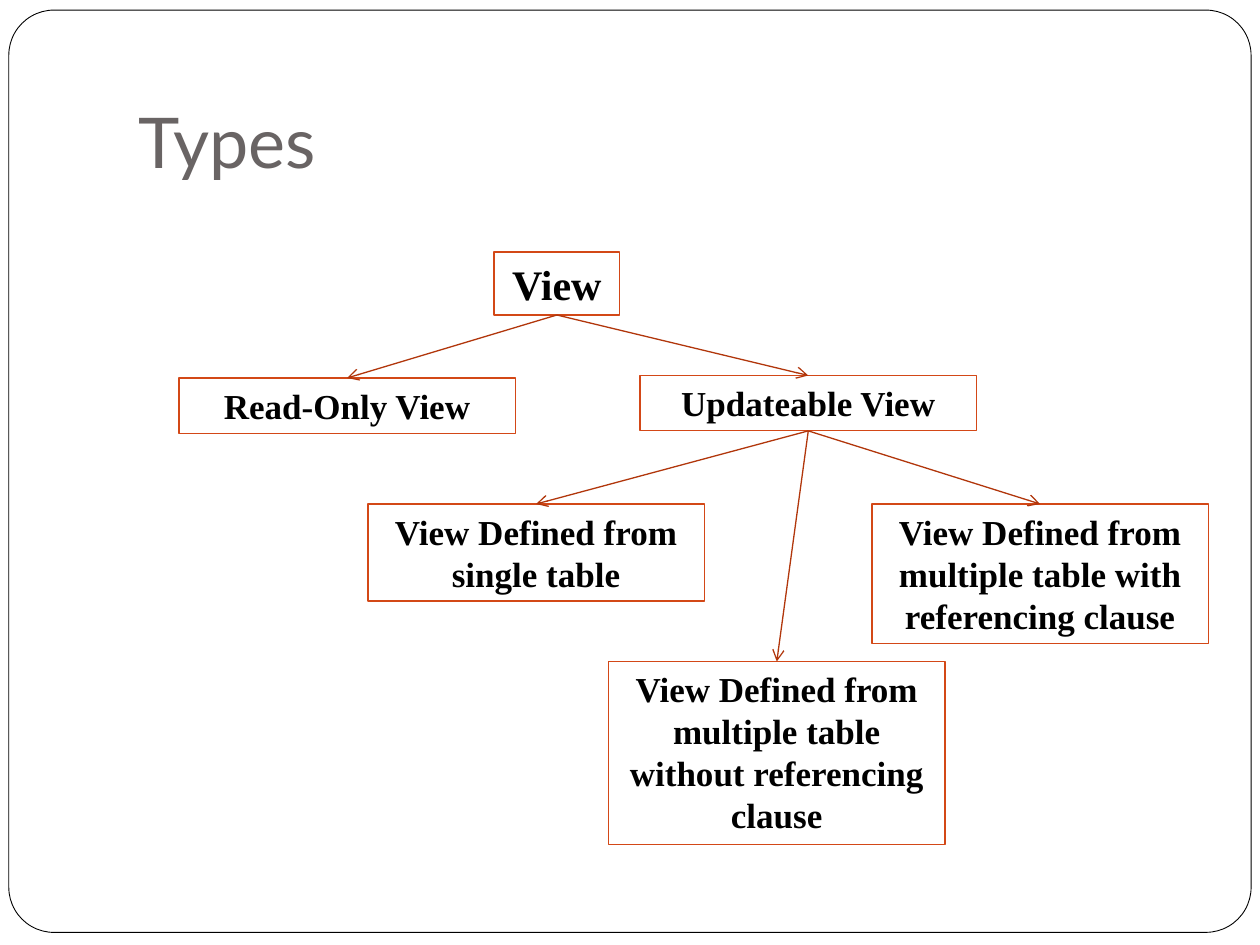
from lxml import etree
from pptx import Presentation
from pptx.dml.color import RGBColor
from pptx.enum import shapes, text
from pptx.oxml.ns import qn
from pptx.util import Inches, Pt

TITLE = "Types"
WIDE = 2.67
NODES = {
    "view": ("View", 3.92, 2, 1, 0.5, "root"),
    "read": ("Read-Only View", 1.42, 3, WIDE, 0.44, "node"),
    "update": ("Updateable View", 5.08, 2.98, WIDE, 0.44, "node"),
    "single": ("View Defined from single table", 2.92, 4, WIDE, 0.77, "node"),
    "without": ("View Defined from multiple table without referencing clause",
                4.83, 5.25, WIDE, 1.45, "node"),
    "with": ("View Defined from multiple table with referencing clause",
             6.92, 4, WIDE, 1.11, "node"),
}
TREE = {"view": ("read", "update"), "update": ("single", "without", "with")}
THEME = {
    "paper": "FFFFFF", "frame": "000000", "box": "D34817", "arrow": "B1360B",
    "thin": 0.5, "line": 0.75,
    "title": {"name": "Lato", "size": Pt(40), "bold": False, "color": "696464"},
    "root": {"name": "Times New Roman", "size": Pt(24), "bold": True, "color": "000000"},
    "node": {"name": "Times New Roman", "size": Pt(20), "bold": True, "color": "000000"},
}


def style(font, look):
    for key, value in look.items():
        if key == "color":
            font.color.rgb = RGBColor.from_string(value)
        else:
            setattr(font, key, value)


def stroke(line, color, width):
    line.color.rgb = RGBColor.from_string(color)
    line.width = Pt(width)


def write(shape, words, look, align, form):
    frame = shape.text_frame
    for key, value in form.items():
        setattr(frame, key, value)
    para = frame.paragraphs[0]
    para.alignment = align
    run = para.add_run()
    run.text = words
    style(run.font, THEME[look])


def block(kind, *place):
    shape = slide.shapes.add_shape(kind, *map(Inches, place))
    shape.shadow.inherit = False
    return shape


def link(start, end):
    line = slide.shapes.add_connector(shapes.MSO_CONNECTOR.STRAIGHT, 0, 0, 0, 0)
    line.begin_connect(start, 2)
    line.end_connect(end, 0)
    stroke(line.line, THEME["arrow"], THEME["line"])
    etree.SubElement(line.line._get_or_add_ln(), qn("a:tailEnd"), type="arrow")
    etree.SubElement(line._element.spPr, qn("a:effectLst"))


deck = Presentation()
deck.slide_width, deck.slide_height = Inches(10), Inches(7.5)
slide = deck.slides.add_slide(deck.slide_layouts[6])

border = block(shapes.MSO_SHAPE.ROUNDED_RECTANGLE, 0.07, 0.08, 9.86, 7.32)
border.adjustments[0] = 0.049
border.fill.solid()
border.fill.fore_color.rgb = RGBColor.from_string(THEME["paper"])
stroke(border.line, THEME["frame"], THEME["thin"])

head = slide.shapes.add_textbox(*map(Inches, (1, 0.3, 8.5, 1.25)))
write(head, TITLE, "title", text.PP_ALIGN.LEFT, {
    "word_wrap": True, "vertical_anchor": text.MSO_ANCHOR.BOTTOM,
    "margin_bottom": Inches(0.1)})

boxes = {}
for name, (words, x, y, w, h, look) in NODES.items():
    box = boxes[name] = block(shapes.MSO_SHAPE.RECTANGLE, x, y, w, h)
    box.fill.background()
    stroke(box.line, THEME["box"], THEME["line"])
    write(box, words, look, text.PP_ALIGN.CENTER, {
        "word_wrap": True, "vertical_anchor": text.MSO_ANCHOR.TOP,
        "auto_size": text.MSO_AUTO_SIZE.SHAPE_TO_FIT_TEXT})

for top, kids in TREE.items():
    for kid in kids:
        link(boxes[top], boxes[kid])

deck.save("out.pptx")
